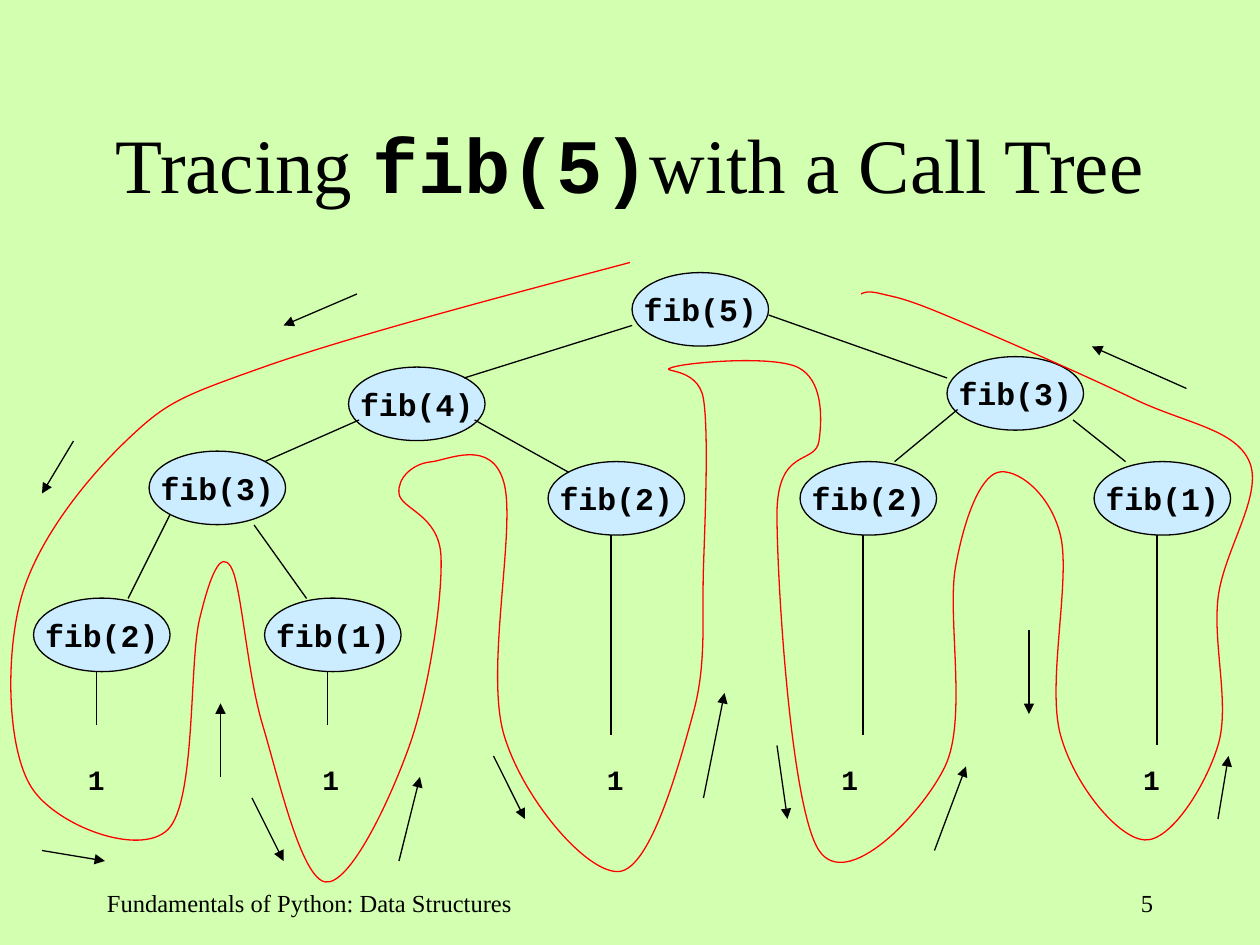
from pptx import Presentation
from pptx.dml.color import RGBColor
from pptx.enum.shapes import MSO_CONNECTOR as CONNECTOR, MSO_SHAPE as SHAPE
from pptx.enum.text import MSO_ANCHOR as ANCHOR, PP_ALIGN as ALIGN
from pptx.oxml.ns import qn
from pptx.util import Pt
from lxml.etree import SubElement

COLORS = {"background": "D2FFB0", "node": "CCECFF", "ink": "000000", "trace": "FF0000"}
SERIF, MONO = "Times New Roman", "Courier New"
LINE_WIDTH = 0.75
NODE_WIDTH, NODE_HEIGHT = 78, 42

NODES = [
    ("fib(5)", 361.2, 155.8), ("fib(4)", 199.2, 209.8), ("fib(3)", 85.2, 257.8),
    ("fib(3)", 541.2, 203.8), ("fib(2)", 313.2, 263.8), ("fib(2)", 19.2, 341.8),
    ("fib(2)", 457.2, 263.8), ("fib(1)", 151.2, 341.8), ("fib(1)", 625.2, 263.8),
]
BRANCHES = [
    (361.2, 186, 265.2, 216), (205.2, 240, 151.2, 263.8), (97.2, 294, 73.2, 342),
    (145.2, 300, 175.2, 342), (271.2, 240, 325.2, 270), (439.2, 180, 541.2, 216),
    (547.2, 234, 511.2, 263.8), (613.2, 240, 643.2, 263.8),
]
LEAF_LINES = [(55.2, 384, 414), (187.2, 384, 414), (349.2, 305.8, 420),
              (493.2, 305.8, 420), (661.2, 305.8, 425.8)]
LEAF_TABS = [134, 296.5, 430.5, 603]
ARROWS = [
    (204, 168, 162, 186), (42, 252, 24, 282), (24, 486, 60, 492),
    (126, 444, 126, 402), (144, 456, 162, 492), (228, 492, 240, 444),
    (282, 432, 300, 468), (402, 456, 414, 396), (444, 426, 450, 468),
    (534, 486, 552, 438), (588, 360, 588, 408), (696, 468, 702, 432),
    (678, 222, 624, 198),
]
TRACE = [
    (360, 150), (150, 210), (72, 252), (12, 342), (18, 450), (96, 474), (114, 354),
    (132, 324), (150, 414), (186, 504), (234, 426), (252, 318), (228, 282),
    (246, 264), (288, 276), (288, 420), (354, 498), (396, 408), (402, 324),
    (402, 228), (384, 210), (456, 210), (468, 252), (444, 294), (468, 486),
    (540, 438), (546, 324), (570, 270), (606, 306), (606, 420), (654, 480),
    (696, 426), (696, 342), (714, 264), (648, 228), (540, 180), (504, 168), (492, 168),
]


def color(name):
    return RGBColor.from_string(COLORS[name])


def style_line(shape, name="ink"):
    shape.line.color.rgb = color(name)
    shape.line.width = Pt(LINE_WIDTH)


def write_text(frame, text, size=14, font=SERIF, bold=False, align=ALIGN.LEFT,
               anchor=ANCHOR.TOP, wrap=True, tabs=()):
    frame.word_wrap = wrap
    frame.vertical_anchor = anchor
    paragraph = frame.paragraphs[0]
    paragraph.alignment = align
    if tabs:
        tab_list = SubElement(paragraph._p.get_or_add_pPr(), qn("a:tabLst"))
        for position in tabs:
            SubElement(tab_list, qn("a:tab"), pos=str(Pt(position)), algn="l")
    runs = [(text, font, bold)] if isinstance(text, str) else text
    for words, run_font, run_bold in runs:
        run = paragraph.add_run()
        run.text = words
        run.font.name = run_font
        run.font.size = Pt(size)
        run.font.bold = run_bold
        run.font.color.rgb = color("ink")


def add_text(slide, text, left, top, width, height, **text_format):
    box = slide.shapes.add_textbox(Pt(left), Pt(top), Pt(width), Pt(height))
    write_text(box.text_frame, text, **text_format)


def add_node(slide, label, left, top):
    node = slide.shapes.add_shape(SHAPE.OVAL, Pt(left), Pt(top),
                                  Pt(NODE_WIDTH), Pt(NODE_HEIGHT))
    node.shadow.inherit = False
    node.fill.solid()
    node.fill.fore_color.rgb = color("node")
    style_line(node)
    write_text(node.text_frame, label, size=18, font=MONO, bold=True,
               align=ALIGN.CENTER, anchor=ANCHOR.MIDDLE, wrap=False)


def add_line(slide, x1, y1, x2, y2, arrow=False):
    line = slide.shapes.add_connector(CONNECTOR.STRAIGHT, Pt(x1), Pt(y1), Pt(x2), Pt(y2))
    style_line(line)
    if arrow:
        SubElement(line.line._get_or_add_ln(), qn("a:tailEnd"), type="triangle")
    SubElement(line._element.spPr, qn("a:effectLst"))


def midpoint(a, b):
    return tuple((m + n) / 2 for m, n in zip(a, b))


def control_point(points, index, sign):
    before, here, after = points[index - 1:index + 2]
    return tuple(h + sign * (a - b) / 6 for b, h, a in zip(before, here, after))


def curve_points(points):
    last = len(points) - 1
    curve = []
    for index in range(last):
        start, end = points[index], points[index + 1]
        leave = control_point(points, index, 1) if index > 0 else None
        arrive = control_point(points, index + 1, -1) if index + 1 < last else None
        curve += [leave or midpoint(start, arrive), arrive or midpoint(end, leave), end]
    return curve


def add_trace(slide, points):
    start_x, start_y = points[0]
    builder = slide.shapes.build_freeform(Pt(start_x), Pt(start_y))
    vertices = [(Pt(x), Pt(y)) for x, y in curve_points(points)]
    builder.add_line_segments(vertices, close=False)
    trace = builder.convert_to_shape()
    outline = next(trace._element.iter(qn("a:path")))
    segments = outline.findall(qn("a:lnTo"))
    for first in range(0, len(segments), 3):
        curve = SubElement(outline, qn("a:cubicBezTo"))
        for segment in segments[first:first + 3]:
            curve.append(segment[0])
            outline.remove(segment)
    trace.shadow.inherit = False
    trace.fill.background()
    style_line(trace, "trace")


def main():
    presentation = Presentation()
    presentation.slide_width, presentation.slide_height = Pt(720), Pt(540)
    slide = presentation.slides.add_slide(presentation.slide_layouts[6])
    slide.background.fill.solid()
    slide.background.fill.fore_color.rgb = color("background")

    title = [("Tracing ", SERIF, False), ("fib(5)", MONO, True),
             ("with a Call Tree", SERIF, False)]
    add_text(slide, title, 54, 48, 612, 90, size=44, align=ALIGN.CENTER,
             anchor=ANCHOR.MIDDLE)
    for node in NODES:
        add_node(slide, *node)
    for branch in BRANCHES:
        add_line(slide, *branch)
    for x, top, bottom in LEAF_LINES:
        add_line(slide, x, top, x, bottom)
    add_text(slide, "\t".join("1" * len(LEAF_LINES)), 43.2, 432, 627.2, 26.6,
             size=16, font=MONO, bold=True, wrap=False, tabs=LEAF_TABS)
    add_trace(slide, TRACE)
    for arrow in ARROWS:
        add_line(slide, *arrow, arrow=True)
    add_text(slide, "Fundamentals of Python: Data Structures", 54, 504, 276, 36)
    add_text(slide, "5", 516, 504, 150, 36, align=ALIGN.RIGHT)
    presentation.save("out.pptx")


if __name__ == "__main__":
    main()
